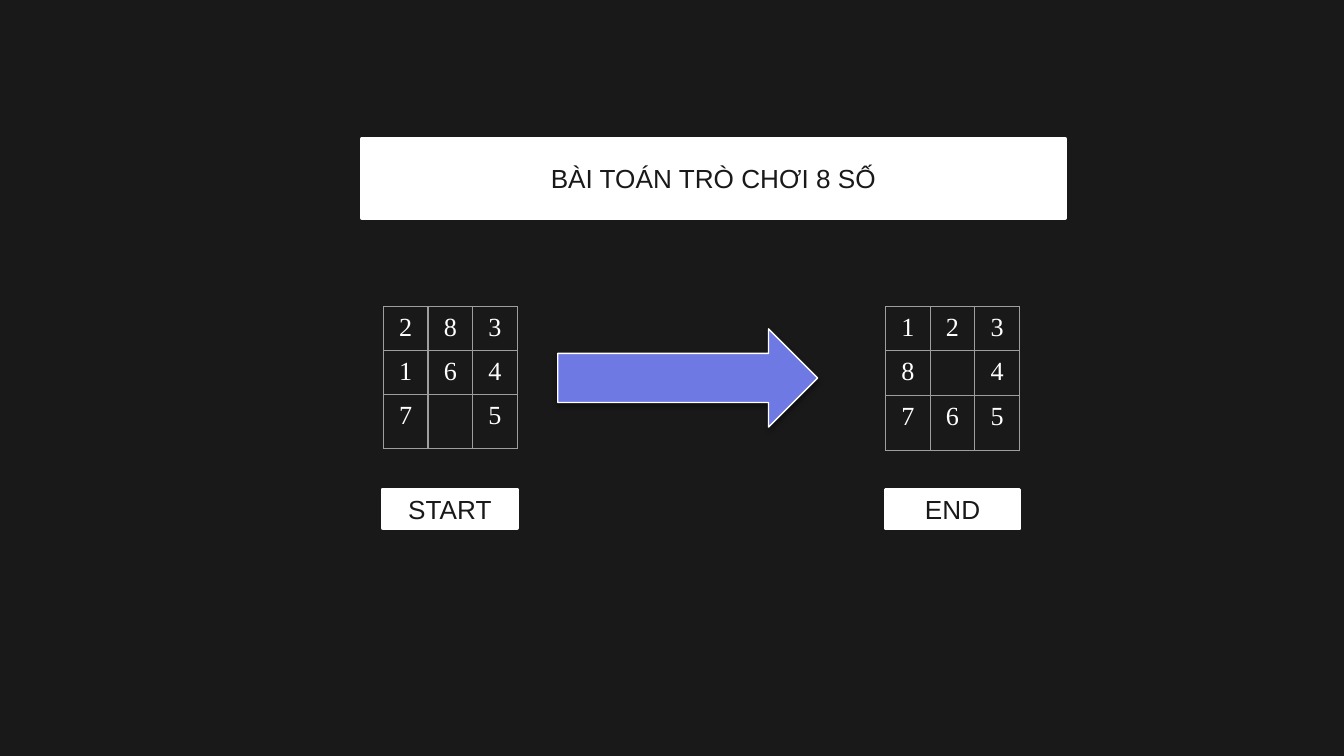
from dataclasses import dataclass

from lxml import etree
from pptx import Presentation
from pptx.dml.color import RGBColor
from pptx.enum.shapes import MSO_SHAPE
from pptx.enum.text import MSO_ANCHOR, PP_ALIGN
from pptx.oxml import parse_xml
from pptx.oxml.ns import nsdecls, qn
from pptx.util import Pt

RECTANGLE = MSO_SHAPE.RECTANGLE
RIGHT_ARROW = MSO_SHAPE.RIGHT_ARROW
CENTER = PP_ALIGN.CENTER
MIDDLE = MSO_ANCHOR.MIDDLE


@dataclass(frozen=True)
class Theme:
    dark: str = "191919"
    white: str = "FFFFFF"
    arrow: str = "6E79E4"
    border: str = "9E9E9E"
    shadow: str = "000000"
    label_font: str = "Arial"
    number_font: str = "Times New Roman"
    text_size: float = 14


theme = Theme()


def add_filled_shape(slide, kind, box, fill, line_width):
    shape = slide.shapes.add_shape(kind, *(Pt(length) for length in box))
    shape.shadow.inherit = False
    shape.fill.solid()
    shape.fill.fore_color.rgb = RGBColor.from_string(fill)
    shape.line.color.rgb = RGBColor.from_string(theme.white)
    shape.line.width = Pt(line_width)
    return shape


def format_paragraph(paragraph, font_name, color):
    paragraph.alignment = CENTER
    for run in paragraph.runs:
        run.font.name = font_name
        run.font.size = Pt(theme.text_size)
        run.font.color.rgb = RGBColor.from_string(color)


presentation = Presentation()
presentation.slide_width = Pt(720)
presentation.slide_height = Pt(405)
slide = presentation.slides.add_slide(presentation.slide_layouts[6])
slide.background.fill.solid()
slide.background.fill.fore_color.rgb = RGBColor.from_string(theme.dark)

column_width = 23.9
row_heights = [23.4, 23.4, 29.2]
board_top = 164.4
boards = [
    (474.4, ["123", "8 4", "765"]),
    (205.4, ["283", "164", "7 5"]),
]
for left, rows in boards:
    table = slide.shapes.add_table(
        3, 3, Pt(left), Pt(board_top), Pt(3 * column_width), Pt(sum(row_heights))
    ).table
    table.first_row = False
    table.horz_banding = False
    for column in table.columns:
        column.width = Pt(column_width)
    for row, height, numbers in zip(table.rows, row_heights, rows):
        row.height = Pt(height)
        for cell, number in zip(row.cells, numbers):
            cell.fill.background()
            paragraph = cell.text_frame.paragraphs[0]
            if number == " ":
                end_mark = etree.SubElement(paragraph._p, qn("a:endParaRPr"))
                end_mark.set("sz", str(theme.text_size * 100))
            else:
                paragraph.text = number
            format_paragraph(paragraph, theme.number_font, theme.white)
            properties = cell._tc.get_or_add_tcPr()
            for position, side in enumerate(["lnL", "lnR", "lnT", "lnB"]):
                properties.insert(position, parse_xml(
                    f'<a:{side} {nsdecls("a")} w="{Pt(0.75)}"><a:solidFill>'
                    f'<a:srgbClr val="{theme.border}"/></a:solidFill></a:{side}>'
                ))

arrow = add_filled_shape(
    slide, RIGHT_ARROW, (298.8, 176.2, 139.2, 52.6), theme.arrow, 0.75
)
effects = arrow._element.spPr.find(qn("a:effectLst"))
effects.append(parse_xml(
    f'<a:outerShdw {nsdecls("a")} blurRad="{Pt(3.1)}" dist="{Pt(1.6)}" '
    f'dir="5400000" rotWithShape="0"><a:srgbClr val="{theme.shadow}">'
    '<a:alpha val="38000"/></a:srgbClr></a:outerShdw>'
))

labels = [
    ("END", (474.4, 262.2, 71.8, 20.8)),
    ("START", (205.1, 262.2, 71.8, 20.8)),
    ("BÀI TOÁN TRÒ CHƠI 8 SỐ", (193.8, 74.3, 376.8, 42.5)),
]
for text, box in labels:
    label = add_filled_shape(slide, RECTANGLE, box, theme.white, 2)
    label.text_frame.word_wrap = True
    label.text_frame.vertical_anchor = MIDDLE
    label.text_frame.text = text
    format_paragraph(label.text_frame.paragraphs[0], theme.label_font, theme.dark)

presentation.save("out.pptx")
